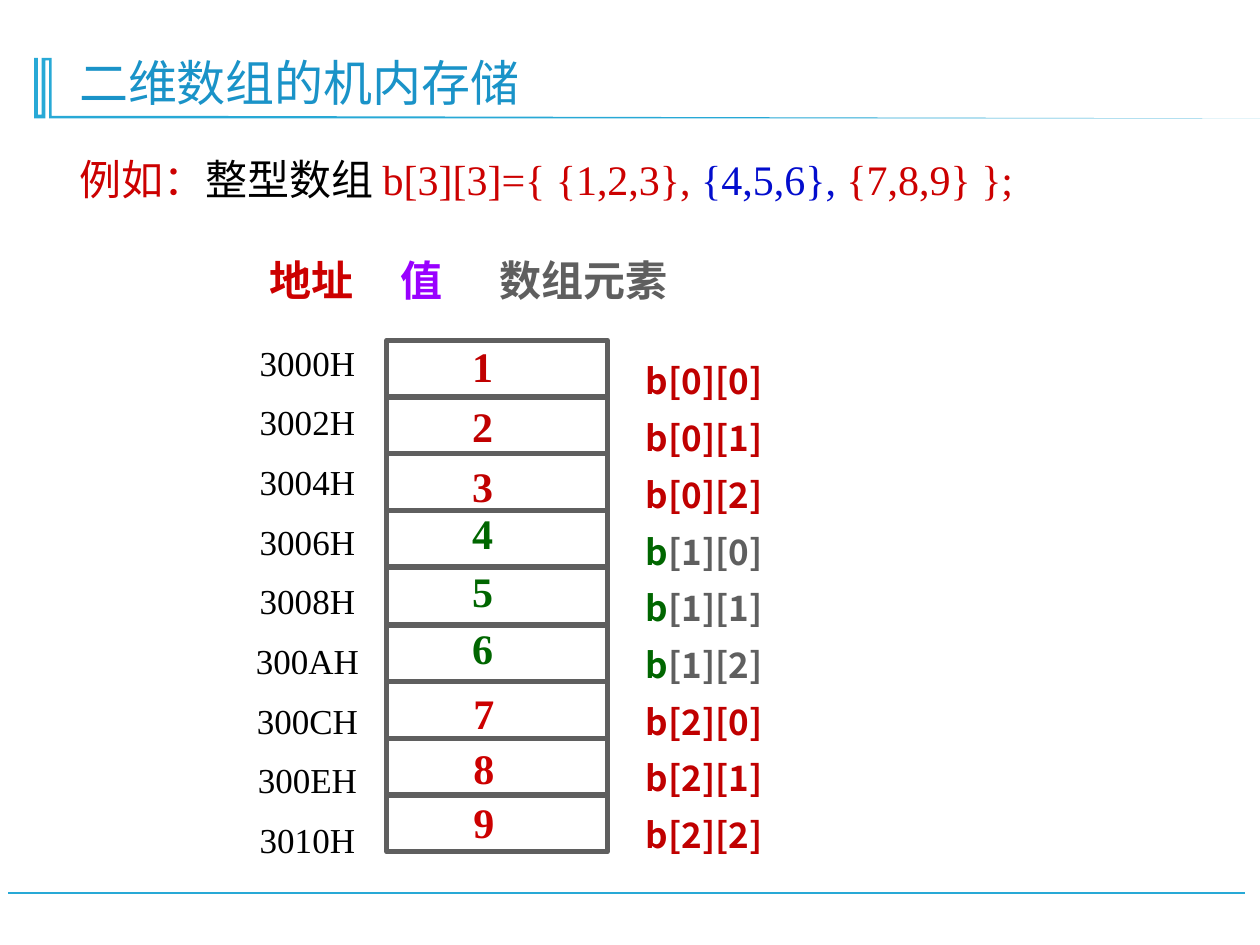
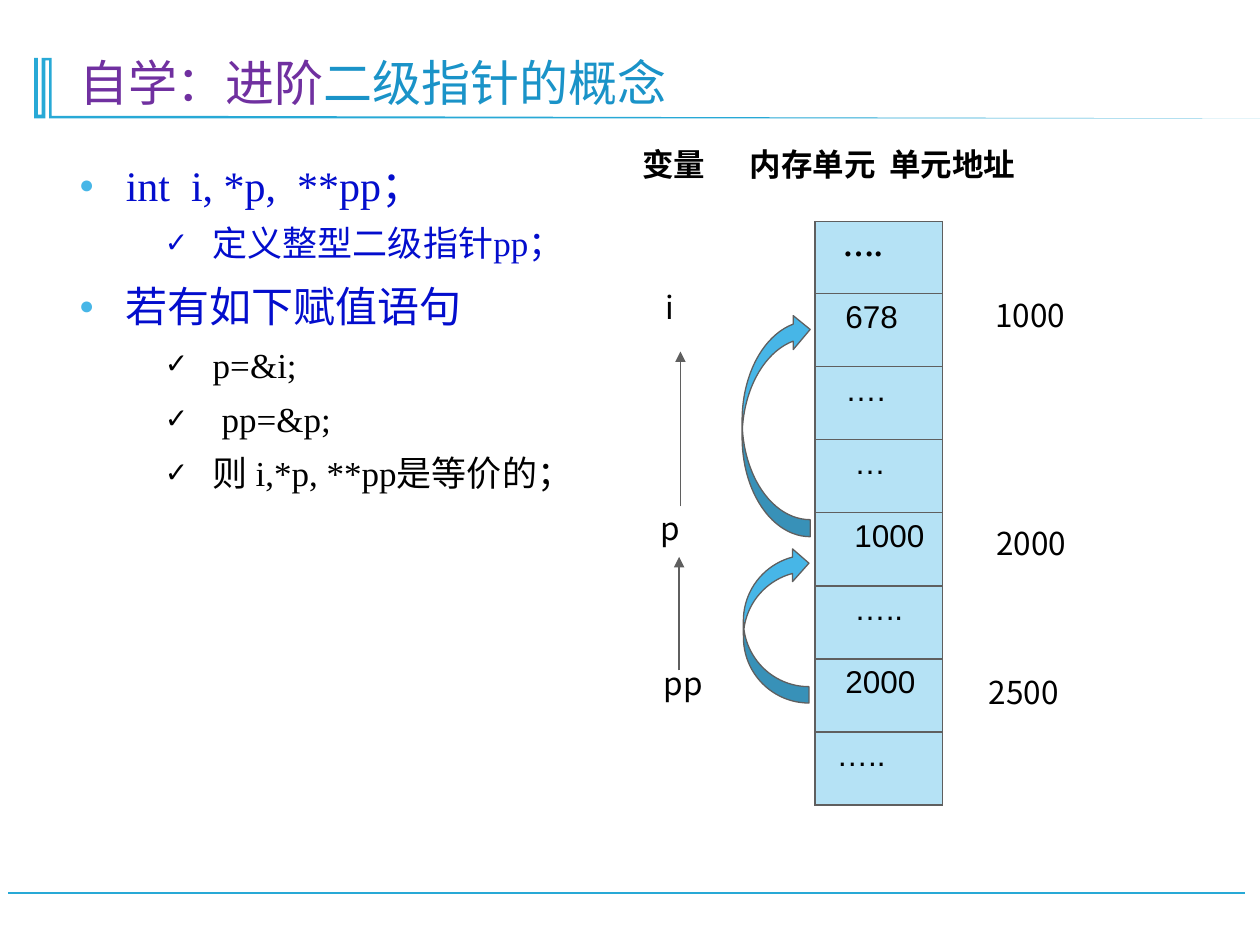
from dataclasses import dataclass
from typing import NamedTuple

from lxml.etree import SubElement
from pptx import Presentation
from pptx.dml.color import RGBColor as Rgb
from pptx.enum.shapes import MSO_CONNECTOR as Link, MSO_SHAPE as Preset
from pptx.enum.text import MSO_ANCHOR as Anchor, PP_ALIGN as Align
from pptx.oxml.ns import qn
from pptx.util import Emu, Pt

EMU_PER_PX = 9144


@dataclass(frozen=True)
class Theme:
    title_blue: str = "1A93C8"
    band: str = "28A9D6"
    bullet: str = "47B6E7"
    cell: str = "B5E2F5"
    gray: str = "5F5F5F"
    black: str = "000000"
    red: str = "CC0000"
    dark_red: str = "C00000"
    green: str = "006600"
    blue: str = "030DCD"
    violet: str = "9900FF"
    purple: str = "7030A0"
    serif: str = "Times New Roman"
    sans: str = "Arial"
    cjk: str = "Noto Sans CJK SC"
    title_size: int = 28
    large: int = 24
    medium: int = 20
    small: int = 18


THEME = Theme()


class Box(NamedTuple):
    left: int
    top: int
    width: int
    height: int


class Style(NamedTuple):
    size: int
    font: str = THEME.serif
    bold: bool = False


class Span(NamedTuple):
    text: str
    color: str


class Bullet(NamedTuple):
    char: str
    percent: int
    margin: int
    hanging: int
    color: str | None = None
    level: int = 0


class Line(NamedTuple):
    spans: list[Span]
    style: Style
    align: Align = Align.LEFT
    spacing: float | Pt = 1.0
    before: float = 0
    bullet: Bullet | None = None
    tabs: tuple[int, ...] = ()


def px(length: float) -> Emu:
    return Emu(round(length * EMU_PER_PX))


def add_node(parent, tag: str, **attributes):
    return SubElement(parent, qn(tag), {key: str(value) for key, value in attributes.items()})


def format_run(run, style: Style, color: str) -> None:
    run.font.size = Pt(style.size)
    run.font.name = style.font
    run.font.bold = style.bold
    run.font.color.rgb = Rgb.from_string(color)
    add_node(run._r.get_or_add_rPr(), "a:ea", typeface=THEME.cjk)


def add_bullet(paragraph, bullet: Bullet) -> None:
    paragraph.level = bullet.level
    properties = paragraph._p.get_or_add_pPr()
    properties.set("marL", str(px(bullet.margin)))
    properties.set("indent", str(px(-bullet.hanging)))
    if bullet.color:
        add_node(add_node(properties, "a:buClr"), "a:srgbClr", val=bullet.color)
    add_node(properties, "a:buSzPct", val=bullet.percent * 1000)
    add_node(properties, "a:buFont", typeface=THEME.sans)
    add_node(properties, "a:buChar", char=bullet.char)


def write_line(paragraph, line: Line, first: bool) -> None:
    if line.bullet:
        add_bullet(paragraph, line.bullet)
    if line.tabs:
        stops = add_node(paragraph._p.get_or_add_pPr(), "a:tabLst")
        for stop in line.tabs:
            add_node(stops, "a:tab", pos=px(stop), algn="l")
    paragraph.alignment = line.align
    paragraph.line_spacing = line.spacing
    paragraph.space_before = Pt(0 if first else line.before)
    for span in line.spans:
        run = paragraph.add_run()
        run.text = span.text
        format_run(run, line.style, span.color)


def add_text(slide, box: Box, lines: list[Line], anchor: Anchor = Anchor.TOP) -> None:
    frame = slide.shapes.add_textbox(*map(px, box)).text_frame
    frame.word_wrap = True
    frame.vertical_anchor = anchor
    for index, line in enumerate(lines):
        paragraph = frame.add_paragraph() if index else frame.paragraphs[0]
        write_line(paragraph, line, index == 0)


def add_column(slide, box: Box, texts: list[str], color: str, style: Style,
               spacing: float, before: float, anchor: Anchor = Anchor.MIDDLE) -> None:
    add_text(slide, box, [Line([Span(text, color)], style, Align.CENTER, spacing, before)
                          for text in texts], anchor)


def add_line(slide, start: tuple[int, int], end: tuple[int, int],
             color: str, width: float, arrow: bool = False) -> None:
    connector = slide.shapes.add_connector(Link.STRAIGHT, *map(px, start + end))
    connector.line.color.rgb = Rgb.from_string(color)
    connector.line.width = Pt(width)
    if arrow:
        add_node(connector.line._get_or_add_ln(), "a:tailEnd", type="triangle")
    add_node(connector._element.spPr, "a:effectLst")


def start_slide(deck, title: list[Span]):
    slide = deck.slides.add_slide(deck.slide_layouts[6])
    add_line(slide, (988, 709), (6, 709), THEME.band, 1.25)
    outline = [(41, 46), (41, 92), (140, 92), (1009, 94), (39, 94), (39, 48), (36, 48),
               (36, 94), (27, 94), (27, 46), (30, 46), (30, 91), (33, 91), (33, 46)]
    builder = slide.shapes.build_freeform(*outline[0], scale=EMU_PER_PX)
    builder.add_line_segments(outline[1:], close=True)
    band = builder.convert_to_shape()
    band.shadow.inherit = False
    band.fill.solid()
    band.fill.fore_color.rgb = Rgb.from_string(THEME.band)
    band.line.fill.background()
    add_text(slide, Box(53, 30, 885, 64),
             [Line(title, Style(THEME.title_size), spacing=0.9)], Anchor.BOTTOM)
    return slide


def build_array_storage(deck) -> None:
    slide = start_slide(deck, [Span("二维数组的机内存储", THEME.title_blue)])
    heading = Style(THEME.large, THEME.cjk, True)
    digits = Style(THEME.large, bold=True)
    add_text(slide, Box(204, 197, 444, 50), [Line([
        Span("地址\t", THEME.red), Span("值\t", THEME.violet), Span("数组元素", THEME.gray),
    ], heading, tabs=(104, 183))], Anchor.MIDDLE)
    add_text(slide, Box(53, 117, 779, 50), [Line([
        Span("例如：", THEME.red), Span("整型数组 ", THEME.black),
        Span("b[3][3]={ {1,2,3}, ", THEME.red), Span("{4,5,6}, ", THEME.blue),
        Span("{7,8,9} };", THEME.red),
    ], Style(THEME.large))])

    elements = []
    for row in range(3):
        name_color, index_color = (
            (THEME.green, THEME.gray) if row == 1 else (THEME.dark_red, THEME.dark_red))
        for column in range(3):
            elements.append(Line(
                [Span("b", name_color), Span(f"[{row}][{column}]", index_color)],
                Style(THEME.medium, THEME.cjk, True), Align.CENTER, Pt(32.4)))
    add_text(slide, Box(480, 267, 158, 419), elements, Anchor.MIDDLE)

    addresses = [f"{0x3000 + 2 * cell:X}H" for cell in range(9)]
    add_column(slide, Box(169, 260, 150, 427), addresses, THEME.black,
               Style(THEME.medium), 1.2, 5.3)
    add_column(slide, Box(362, 264, 42, 147), ["1", "2", "3"], THEME.dark_red, digits, 1.0, 5.5)
    add_column(slide, Box(362, 401, 42, 138), ["4", "5", "6"], THEME.green, digits, 0.95, 5.5,
               Anchor.TOP)
    add_column(slide, Box(363, 541, 42, 134), ["7", "8", "9"], THEME.red, digits, 1.05, 1)

    memory = Box(307, 270, 175, 406)
    frame = slide.shapes.add_shape(Preset.RECTANGLE, *map(px, memory))
    frame.shadow.inherit = False
    frame.fill.background()
    frame.line.color.rgb = Rgb.from_string(THEME.gray)
    frame.line.width = Pt(3)
    for cell in range(1, 9):
        y = round(memory.top + cell * memory.height / 9)
        add_line(slide, (memory.left, y), (memory.left + memory.width, y), THEME.gray, 3)


def add_memory_table(slide) -> None:
    contents = [("….", 22), ("678", 24), ("….", 24), ("…", 31),
                ("1000", 31), ("…..", 31), ("2000", 24), ("…..", 17)]
    table = slide.shapes.add_table(len(contents), 1, *map(px, Box(647, 176, 101, 463))).table
    table.first_row = False
    table.horz_banding = False
    for index, (content, inset) in enumerate(contents):
        table.rows[index].height = px(58 if index else 57)
        cell = table.cell(index, 0)
        cell.margin_left = px(inset)
        cell.text_frame.text = content
        style = Style(THEME.small, THEME.sans) if index else Style(THEME.small, bold=True)
        format_run(cell.text_frame.paragraphs[0].runs[0], style, THEME.black)
        properties = cell._tc.get_or_add_tcPr()
        for side in ("lnL", "lnR", "lnT", "lnB"):
            border = add_node(properties, f"a:{side}", w=Pt(1))
            add_node(add_node(border, "a:solidFill"), "a:srgbClr", val=THEME.gray)
        cell.fill.solid()
        cell.fill.fore_color.rgb = Rgb.from_string(THEME.cell)


def build_double_pointer(deck) -> None:
    slide = start_slide(deck, [Span("自学：进阶", THEME.purple),
                               Span("二级指针的概念", THEME.title_blue)])
    topic = Bullet("●", 60, 37, 37, THEME.bullet)
    check = Bullet("✓", 80, 106, 38, level=1)
    shifted_check = check._replace(margin=113, hanging=45)
    outline = [
        ("int  i, *p,  **pp；", THEME.blue, topic),
        ("定义整型二级指针pp；", THEME.blue, check),
        ("若有如下赋值语句", THEME.blue, topic),
        ("p=&i;", THEME.black, check),
        ("pp=&p;", THEME.black, shifted_check),
        ("则 i,*p, **pp是等价的；", THEME.black, check),
    ]
    lines = []
    for text, color, bullet in outline:
        size, spacing, before = (
            (THEME.medium, 31, 0) if bullet.level else (THEME.large, 24.8, 13.5))
        lines.append(Line([Span(text, color)], Style(size), spacing=Pt(spacing),
                          before=before, bullet=bullet))
    add_text(slide, Box(53, 127, 922, 582), lines)

    add_memory_table(slide)

    label = Style(THEME.small, THEME.cjk)
    labels = [("i", 518, 224, 75), ("p", 514, 399, 75), ("pp", 517, 522, 75),
              ("1000", 780, 230, 106), ("2000", 781, 411, 106), ("2500", 775, 529, 106)]
    for text, left, top, width in labels:
        add_text(slide, Box(left, top, width, 40), [Line([Span(text, THEME.black)], label)])
    add_text(slide, Box(500, 110, 415, 40), [
        Line([Span("变量\t内存单元\t单元地址", THEME.black)],
             label._replace(bold=True), tabs=(85, 196))])

    for reference in (Box(590, 434, 52, 124), Box(589, 248, 54, 178)):
        arrow = slide.shapes.add_shape(Preset.CURVED_RIGHT_ARROW, *map(px, reference))
        arrow._element.spPr.xfrm.set("flipV", "1")
        arrow.shadow.inherit = False
        arrow.fill.solid()
        arrow.fill.fore_color.rgb = Rgb.from_string(THEME.bullet)
        arrow.line.color.rgb = Rgb.from_string(THEME.gray)
        arrow.line.width = Pt(0.75)
    for x, start, end in ((540, 402, 279), (539, 532, 442)):
        add_line(slide, (x, start), (x, end), THEME.gray, 0.75, arrow=True)


def main() -> None:
    deck = Presentation()
    deck.slide_width, deck.slide_height = px(1000), px(750)
    build_array_storage(deck)
    build_double_pointer(deck)
    deck.save("out.pptx")


if __name__ == "__main__":
    main()
